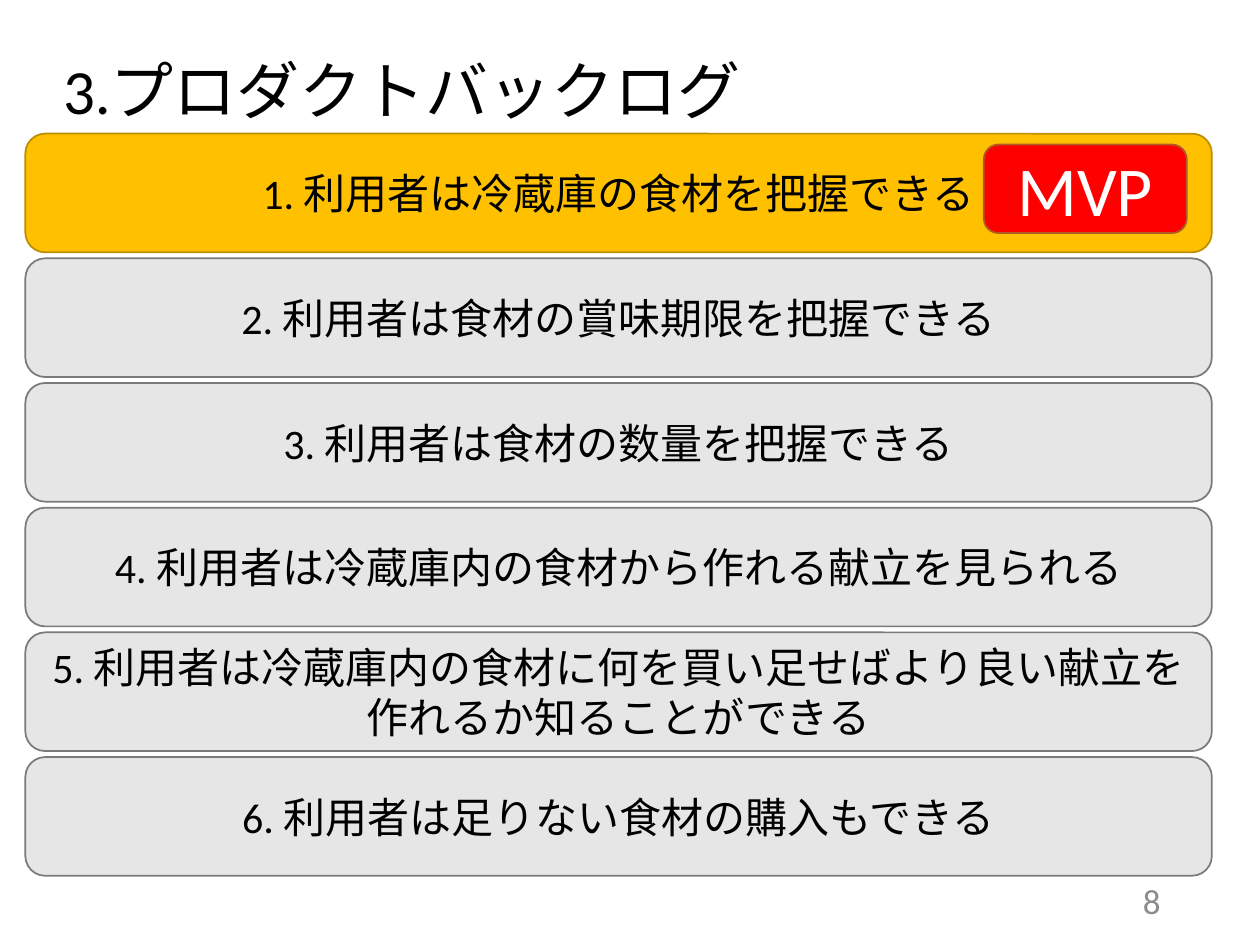
from dataclasses import dataclass

from pptx import Presentation
from pptx.dml.color import RGBColor
from pptx.enum.shapes import MSO_SHAPE
from pptx.enum.text import MSO_ANCHOR, MSO_AUTO_SIZE, PP_ALIGN
from pptx.util import Pt


@dataclass(frozen=True)
class Theme:
    font: str = "Calibri"
    ink: str = "000000"
    pale: str = "FFFFFF"
    dim: str = "8C8C8C"
    gold: tuple = ("FFC000", "BD8E00")
    gray: tuple = ("E7E6E6", "7A7A7A")
    red: tuple = ("FF0000", "AF5C24")
    head: int = 36
    body: int = 24
    badge: int = 40
    page: int = 20


class Deck:
    def __init__(self, theme, slide):
        self.theme = theme
        self.slide = slide

    def style(self, shape, text, size, color, align):
        frame = shape.text_frame
        frame.text = text
        frame.word_wrap = True
        frame.auto_size = MSO_AUTO_SIZE.NONE
        frame.vertical_anchor = MSO_ANCHOR.MIDDLE
        para = frame.paragraphs[0]
        para.alignment = align
        para.font.name = self.theme.font
        para.font.size = Pt(size)
        para.font.color.rgb = RGBColor.from_string(color)
        return para

    def title(self, text, left, top, width, height):
        shape = self.slide.shapes.title
        shape.left, shape.top = Pt(left), Pt(top)
        shape.width, shape.height = Pt(width), Pt(height)
        para = self.style(shape, text, self.theme.head, self.theme.ink, PP_ALIGN.LEFT)
        para.line_spacing = 0.9

    def label(self, text, left, top, width, height):
        box = self.slide.shapes.add_textbox(Pt(left), Pt(top), Pt(width), Pt(height))
        self.style(box, text, self.theme.page, self.theme.dim, PP_ALIGN.RIGHT)

    def card(self, text, left, top, width, height, paint, size, color):
        shape = self.slide.shapes.add_shape(
            MSO_SHAPE.ROUNDED_RECTANGLE, Pt(left), Pt(top), Pt(width), Pt(height))
        fill, edge = paint
        shape.shadow.inherit = False
        shape.fill.solid()
        shape.fill.fore_color.rgb = RGBColor.from_string(fill)
        shape.line.color.rgb = RGBColor.from_string(edge)
        shape.line.width = Pt(1)
        self.style(shape, text, size, color, PP_ALIGN.CENTER)


STORIES = [
    "利用者は冷蔵庫の食材を把握できる",
    "利用者は食材の賞味期限を把握できる",
    "利用者は食材の数量を把握できる",
    "利用者は冷蔵庫内の食材から作れる献立を見られる",
    "利用者は冷蔵庫内の食材に何を買い足せばより良い献立を作れるか知ることができる",
    "利用者は足りない食材の購入もできる",
]


def main():
    theme = Theme()
    show = Presentation()
    show.slide_width, show.slide_height = Pt(720), Pt(540)
    deck = Deck(theme, show.slides.add_slide(show.slide_layouts[5]))

    deck.title("3.プロダクトバックログ", 28.8, 20.9, 591, 65.5)
    top, step = 76.4, 71.25
    for i, story in enumerate(STORIES):
        paint = theme.gray if i else theme.gold
        deck.card(f"{i + 1}. {story}", 14.5, top + i * step, 678, 67.8,
                  paint, theme.body, theme.ink)
    deck.card("MVP", 562.2, 82.6, 116, 50.6, theme.red, theme.badge, theme.pale)
    deck.label("8", 629.3, 500.4, 41, 28.8)

    show.save("out.pptx")


if __name__ == "__main__":
    main()
